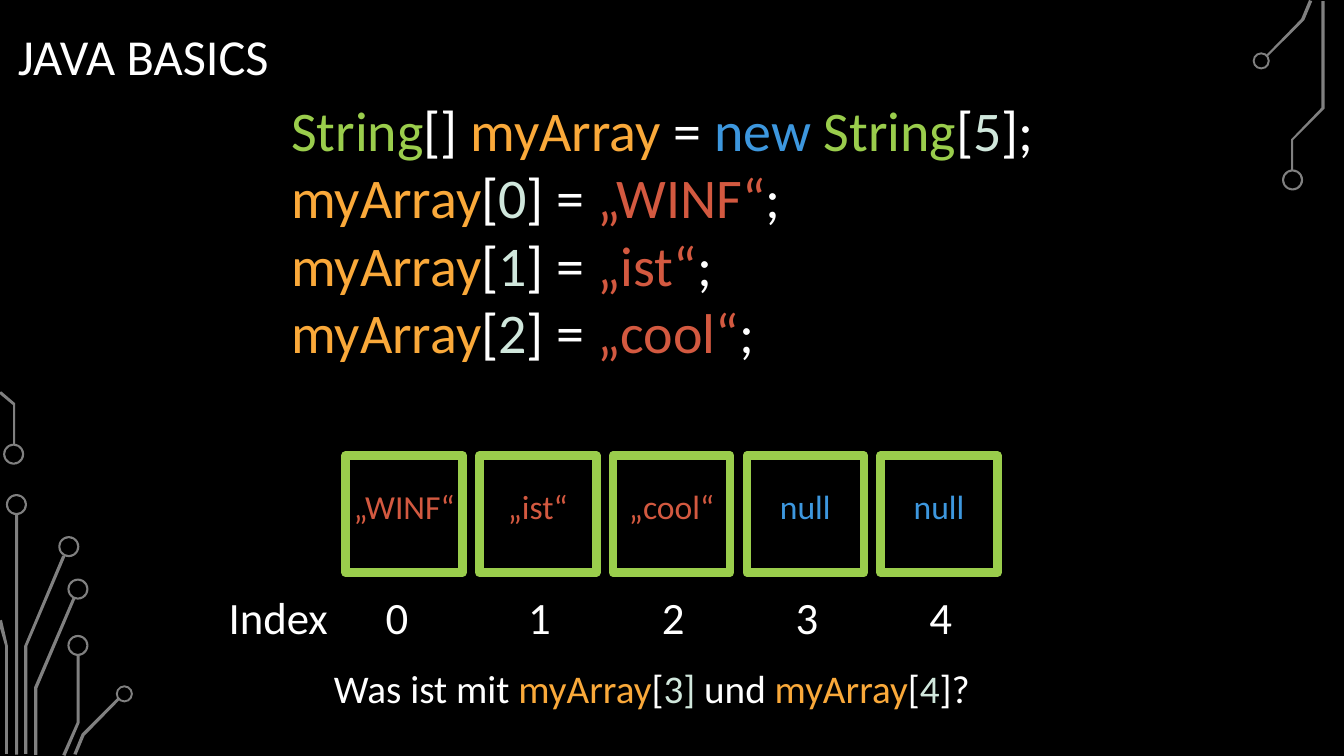
from pptx import Presentation
from pptx.dml.color import RGBColor
from pptx.enum.shapes import MSO_SHAPE
from pptx.enum.text import MSO_ANCHOR, PP_ALIGN
from pptx.util import Cm, Pt

BLACK = RGBColor(0x00, 0x00, 0x00)
WHITE = RGBColor(0xFF, 0xFF, 0xFF)
GRAY = RGBColor(0x80, 0x80, 0x80)
GREEN = RGBColor(0x9A, 0xCD, 0x4C)
ORANGE = RGBColor(0xFA, 0xA9, 0x3A)
BLUE = RGBColor(0x3D, 0x97, 0xDE)
MINT = RGBColor(0xD0, 0xE7, 0xDC)
RED = RGBColor(0xD3, 0x59, 0x40)

CIRCUIT_TRACES = [
    [(0.38, 11.2), (0.33, 11.2), (0.33, 10.21), (-0.03, 9.91), (0.03, 9.86), (0.38, 10.16)],
    [(0.69, 19), (0.61, 19), (0.61, 16.28), (1.57, 14), (1.65, 14.02), (0.69, 16.28)],
    [(0.2, 19), (0.13, 19), (0.13, 16.28), (-0.05, 15.65), (0.05, 15.62), (0.2, 16.28)],
    [(0.94, 19.02), (0.86, 19.02), (0.86, 17.32), (1.83, 15.06), (1.9, 15.09), (0.94, 17.35)],
    [(1.65, 19.05), (1.57, 19.02), (1.93, 18.21), (1.93, 16.51), (2.01, 16.51), (2.01, 18.21)],
    [(1.93, 19.02), (1.85, 19), (2.06, 18.49), (2.97, 17.58), (3.02, 17.63), (2.13, 18.54)],
    [(31.95, 1.42), (31.9, 1.4), (32.79, 0.48), (32.99, 0), (33.07, 0.03), (32.87, 0.51)],
    [(32.59, 4.29), (32.54, 4.29), (32.54, 3.51), (33.3, 2.72), (33.3, 0.03),
     (33.38, 0.03), (33.38, 2.74), (32.59, 3.53)],
]
LARGE_RINGS = [(0.08, 11.18), (0.15, 12.45), (1.47, 13.51), (1.7, 14.58), (1.7, 16), (32.31, 4.27)]
SMALL_RINGS = [(2.92, 17.27), (31.57, 1.32)]

WORDS = ["„WINF“", "„ist“", "„cool“"]
DECLARATION = [
    ("String", GREEN), ("[] ", WHITE), ("myArray", ORANGE), (" = ", WHITE), ("new ", BLUE),
    ("String", GREEN), ("[", WHITE), ("5", MINT), ("];", WHITE),
]
QUESTION = [
    ("Was ist mit ", WHITE), ("myArray", ORANGE), ("[", WHITE), ("3] ", MINT), ("und ", WHITE),
    ("myArray", ORANGE), ("[", WHITE), ("4", MINT), ("]?", WHITE),
]
CELLS = [(word, RED) for word in WORDS] + [("null", BLUE)] * 2

CELL_LEFT, CELL_TOP, CELL_SIZE, CELL_PITCH = 8.71, 11.48, 2.95, 3.37
INDEX_WIDTH = 0.99


class SlideBuilder:
    font = "Calibri"

    def __init__(self, slide):
        self.slide = slide
        self.slide.background.fill.solid()
        self.slide.background.fill.fore_color.rgb = BLACK

    def paint(self, shape, color):
        shape.shadow.inherit = False
        shape.fill.solid()
        shape.fill.fore_color.rgb = color
        shape.line.fill.background()

    def trace(self, points):
        start, *others = [(Cm(x), Cm(y)) for x, y in points]
        outline = self.slide.shapes.build_freeform(*start)
        outline.add_line_segments(others, close=True)
        self.paint(outline.convert_to_shape(), GRAY)

    def bar(self, left, top, width, height):
        bar = self.slide.shapes.add_shape(
            MSO_SHAPE.RECTANGLE, Cm(left), Cm(top), Cm(width), Cm(height))
        self.paint(bar, GRAY)

    def ring(self, left, top, diameter):
        ring = self.slide.shapes.add_shape(
            MSO_SHAPE.DONUT, Cm(left), Cm(top), Cm(diameter), Cm(diameter))
        ring.adjustments[0] = 0.05 / diameter
        self.paint(ring, GRAY)

    def frame(self, left, top, size):
        frame = self.slide.shapes.add_shape(
            MSO_SHAPE.RECTANGLE, Cm(left), Cm(top), Cm(size), Cm(size))
        frame.shadow.inherit = False
        frame.fill.background()
        frame.line.color.rgb = GREEN
        frame.line.width = Pt(6)

    def text(self, left, top, width, height, lines, size, align=PP_ALIGN.LEFT,
             anchor=MSO_ANCHOR.TOP, spacing=1.0, wrap=True):
        box = self.slide.shapes.add_textbox(Cm(left), Cm(top), Cm(width), Cm(height))
        content = box.text_frame
        content.word_wrap = wrap
        content.vertical_anchor = anchor
        content.text = "\n" * (len(lines) - 1)
        for paragraph, tokens in zip(content.paragraphs, lines):
            paragraph.alignment = align
            paragraph.line_spacing = spacing
            for token, color in tokens:
                run = paragraph.add_run()
                run.text = token
                run.font.name = self.font
                run.font.size = Pt(size)
                run.font.color.rgb = color


def main():
    presentation = Presentation()
    presentation.slide_width = Cm(33.87)
    presentation.slide_height = Cm(19.05)
    builder = SlideBuilder(presentation.slides.add_slide(presentation.slide_layouts[6]))

    for points in CIRCUIT_TRACES:
        builder.trace(points)
    builder.bar(0.38, 12.95, 0.08, 6.07)
    for rings, diameter in ((LARGE_RINGS, 0.53), (SMALL_RINGS, 0.43)):
        for left, top in rings:
            builder.ring(left, top, diameter)

    builder.text(0.2, 0.46, 18.95, 2.06, [[("JAVA BASICS", WHITE)]], 36,
                 anchor=MSO_ANCHOR.MIDDLE, spacing=0.9)

    assignments = [
        [("myArray", ORANGE), ("[", WHITE), (str(index), MINT), ("] = ", WHITE),
         (word, RED), (";", WHITE)]
        for index, word in enumerate(WORDS)
    ]
    builder.text(7.09, 2.29, 20.7, 8.81, [DECLARATION] + assignments, 40)

    builder.text(5.51, 14.73, 3.23, 1.63, [[("Index", WHITE)]], 32)
    for index, (value, color) in enumerate(CELLS):
        left = CELL_LEFT + index * CELL_PITCH
        center = left + CELL_SIZE / 2
        value_width = 2.82 if index else 3.23
        index_shift = 0 if index else -0.22
        builder.frame(left, CELL_TOP, CELL_SIZE)
        builder.text(center - value_width / 2, 12.12, value_width, 1.27,
                     [[(value, color)]], 24, align=PP_ALIGN.CENTER)
        builder.text(center - INDEX_WIDTH / 2 + index_shift, 14.73, INDEX_WIDTH, 1.63,
                     [[(str(index), WHITE)]], 32, wrap=False)

    builder.text(5.28, 16.61, 22.3, 1.45, [QUESTION], 28, align=PP_ALIGN.CENTER)
    presentation.save("out.pptx")


if __name__ == "__main__":
    main()
